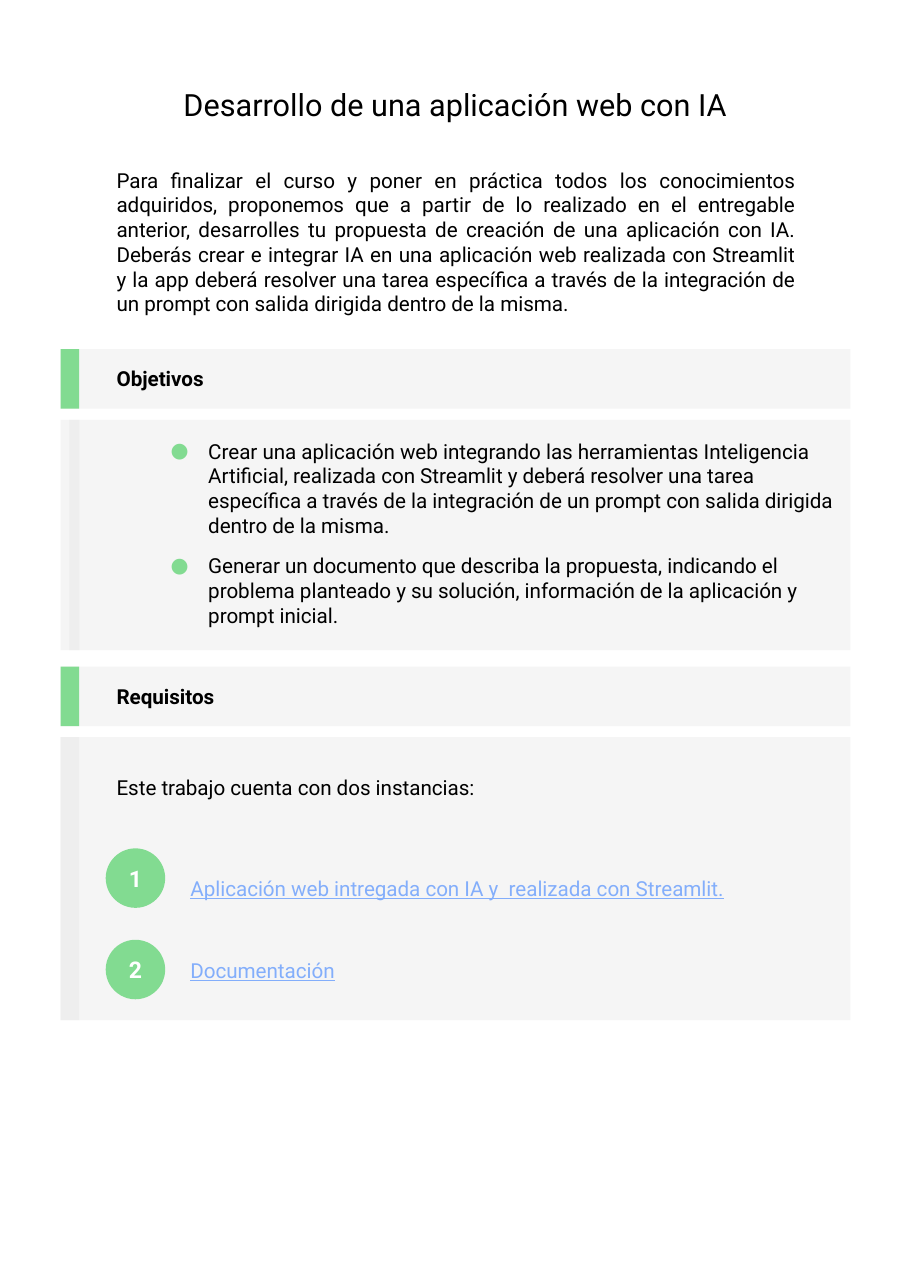
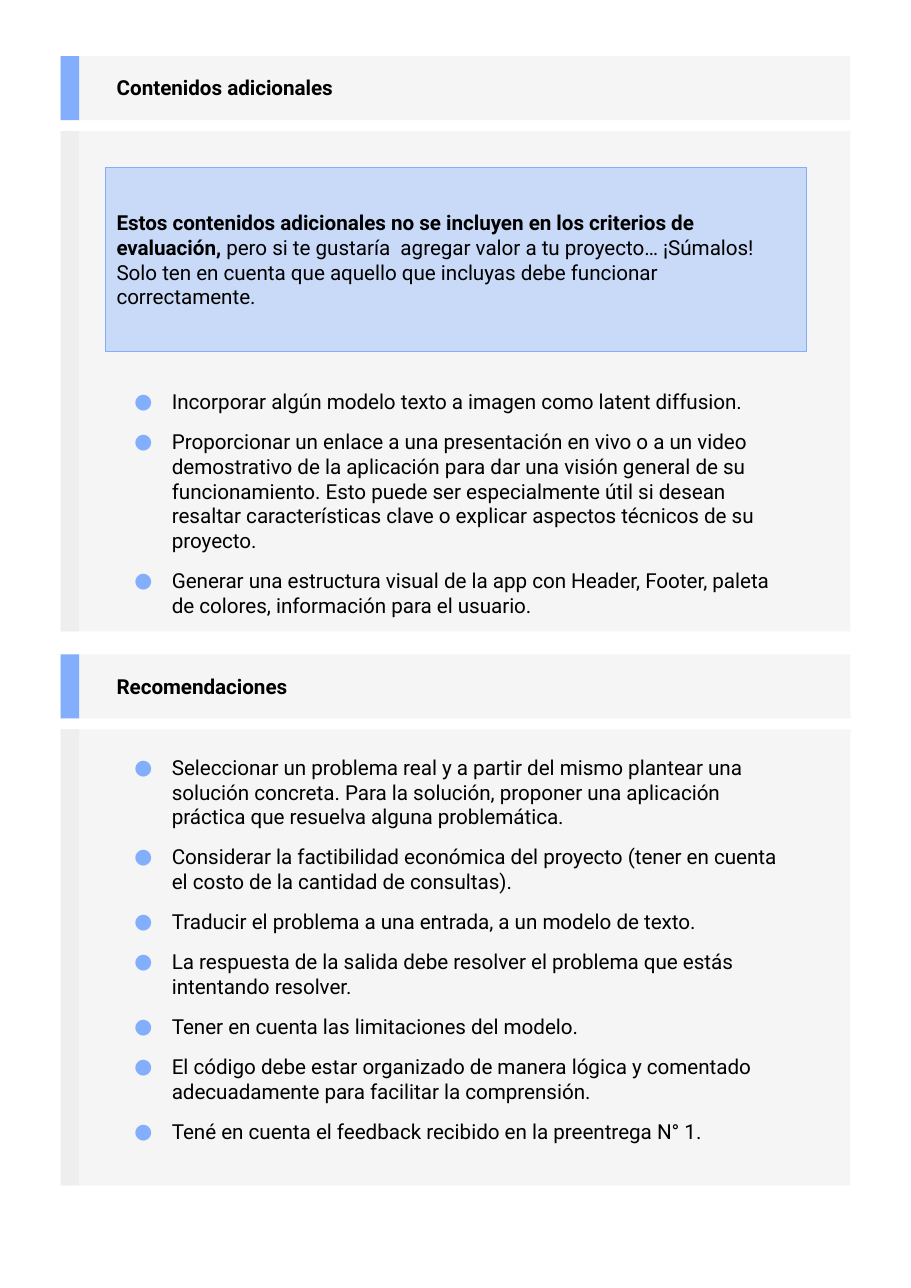
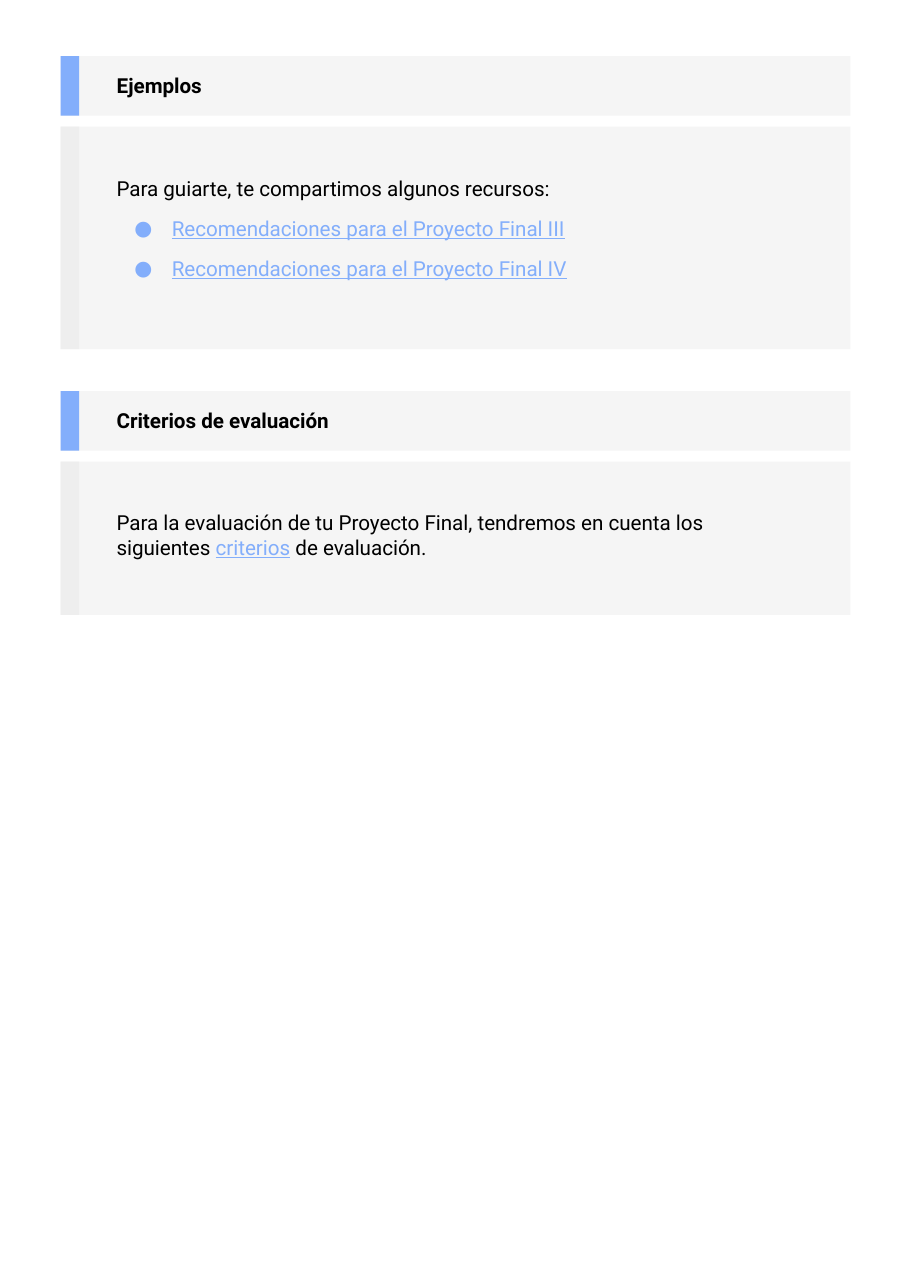
from dataclasses import dataclass

from lxml import etree
from pptx import Presentation
from pptx.dml.color import RGBColor
from pptx.enum.shapes import MSO_SHAPE
from pptx.enum.text import MSO_ANCHOR, MSO_AUTO_SIZE, PP_ALIGN
from pptx.oxml.ns import qn
from pptx.util import Emu, Pt

RECT, OVAL = MSO_SHAPE.RECTANGLE, MSO_SHAPE.OVAL
TOP, MIDDLE = MSO_ANCHOR.TOP, MSO_ANCHOR.MIDDLE
LEFT, CENTER, JUSTIFY = PP_ALIGN.LEFT, PP_ALIGN.CENTER, PP_ALIGN.JUSTIFY
FIXED = MSO_AUTO_SIZE.NONE
ONE_LIST, TWO_LISTS = 1, 3


@dataclass(frozen=True)
class Theme:
    """Colours, type sizes and the page grid shared by all slides."""
    font: str = "Roboto"
    ink: str = "000000"
    white: str = "FFFFFF"
    green: str = "82DB91"
    blue: str = "83AEFB"
    panel: str = "F5F5F5"
    tab: str = "EEEEEE"
    note: str = "C9DAF8"
    title: float = 20
    badge: float = 15
    body: float = 13.5
    gap: float = 10
    page_w: int = 827
    page_h: int = 1169
    left: int = 55
    width: int = 717
    tab_w: int = 17
    text_x: int = 96
    text_w: int = 636


T = Theme()
TITLE = {"size": T.title}
BODY = {}
BOLD = {"bold": True}
LINK = {"color": T.blue, "underline": True}
BADGE = {"size": T.badge, "color": T.white, "bold": True}


def px(n):
    """Turn px, 100 to the inch, into EMU."""
    return Emu(n * 9144)


def rgb(color):
    """Turn a hex string into a colour."""
    return RGBColor.from_string(color)


def box(s, kind, x, y, w, h, fill, line=None):
    """Add a flat preset shape."""
    sp = s.shapes.add_shape(kind, px(x), px(y), px(w), px(h))
    sp.shadow.inherit = False
    sp.fill.solid()
    sp.fill.fore_color.rgb = rgb(fill)
    if line:
        sp.line.color.rgb = rgb(line)
        sp.line.width = Pt(0.75)
    else:
        sp.line.fill.background()
    return sp


def text_box(s, x, y, w, h):
    """Add an empty text box."""
    return s.shapes.add_textbox(px(x), px(y), px(w), px(h))


def place(sp, x, y, w, h):
    """Move a placeholder to a box, in front of what is drawn."""
    sp.left, sp.top, sp.width, sp.height = px(x), px(y), px(w), px(h)
    sp.element.getparent().append(sp.element)
    return sp


def style(r, size=T.body, color=T.ink, bold=False, underline=False):
    """Format one run."""
    f = r.font
    f.name, f.size, f.bold, f.underline = T.font, Pt(size), bold, underline
    f.color.rgb = rgb(color)


def set_bullet(p, color):
    """Give a paragraph a coloured bullet, or none."""
    pPr = p._p.get_or_add_pPr()
    pPr.set("marL", str(px(50) if color else 0))
    pPr.set("indent", str(px(-34) if color else 0))
    if not color:
        etree.SubElement(pPr, qn("a:buNone"))
        return
    clr = etree.SubElement(pPr, qn("a:buClr"))
    etree.SubElement(clr, qn("a:srgbClr"), val=color)
    etree.SubElement(pPr, qn("a:buFont"), typeface=T.font)
    etree.SubElement(pPr, qn("a:buChar"), char="●")


def write(sp, paras, align=LEFT, anchor=TOP, bullet=None):
    """Fill a shape with paragraphs, each a list of (text, style) runs."""
    tf = sp.text_frame
    tf.word_wrap, tf.auto_size, tf.vertical_anchor = True, FIXED, anchor
    tf.margin_left = tf.margin_right = tf.margin_top = tf.margin_bottom = px(10)
    for i, runs in enumerate(paras):
        p = tf.add_paragraph() if i else tf.paragraphs[0]
        p.alignment, p.line_spacing = align, 1.0
        p.space_before = Pt(T.gap if i else 0)
        p.space_after = Pt(0)
        set_bullet(p, bullet)
        for text, look in runs:
            r = p.add_run()
            r.text = text
            style(r, **look)


def panel(s, y, h, color, inset=0):
    """Draw a grey panel with a coloured tab on its left."""
    box(s, RECT, T.left, y, T.width, h, T.panel)
    box(s, RECT, T.left + inset, y, T.tab_w - inset, h, color)


def section(s, y, head_h, bottom, heading, accent, inset=0, title=None):
    """Draw a heading bar and the panel under it, down to bottom."""
    panel(s, y, head_h, accent)
    body_y = y + head_h + 10
    panel(s, body_y, bottom - body_y, T.tab, inset)
    at = T.text_x, y + 2, 652, head_h - 5
    sp = place(title, *at) if title else text_box(s, *at)
    write(sp, [[(heading, BOLD)]], anchor=MIDDLE)


def bullets(sp, at, items, color):
    """Place a body placeholder as a bulleted list."""
    write(place(sp, *at), [[(item, BODY)] for item in items], bullet=color)


def step(s, number, badge_y, text_y, text):
    """Draw a numbered badge with its link text."""
    badge = box(s, OVAL, T.text_x, badge_y, 54, 54, T.green)
    write(badge, [[(number, BADGE)]], CENTER, MIDDLE)
    write(text_box(s, 163, text_y, 569, 66), [[(text, LINK)]], anchor=MIDDLE)


def assignment(s):
    """Build the slide with the task, its goals and requirements."""
    title, goals = s.placeholders
    section(s, 317, 54, 590, "Objetivos", T.green, inset=8)
    section(s, 605, 54, 926, "Requisitos", T.green)
    write(place(title, T.left, 68, T.width, 54),
          [[("Desarrollo de una aplicación web con IA", TITLE)]], CENTER)
    write(text_box(s, T.text_x, 142, T.text_w, 157), [[(
        "Para finalizar el curso y poner en práctica todos los conocimientos "
        "adquiridos, proponemos que a partir de lo realizado en el entregable "
        "anterior, desarrolles tu propuesta de creación de una aplicación con "
        "IA. Deberás crear e integrar IA en una aplicación web realizada con "
        "Streamlit y la app deberá resolver una tarea específica a través de "
        "la integración de un prompt con salida dirigida dentro de la misma.",
        BODY)]], JUSTIFY)
    bullets(goals, (129, 388, 652, 193), [
        "Crear una aplicación web integrando las herramientas Inteligencia "
        "Artificial, realizada con Streamlit y deberá resolver una tarea "
        "específica a través de la integración de un prompt con salida "
        "dirigida dentro de la misma.",
        "Generar un documento que describa la propuesta, indicando el "
        "problema planteado y su solución, información de la aplicación y "
        "prompt inicial.",
    ], T.green)
    write(text_box(s, T.text_x, 693, T.text_w, 43),
          [[("Este trabajo cuenta con dos instancias:", BODY)]])
    step(s, "1", 770, 773,
         "Aplicación web intregada con IA y  realizada con Streamlit.")
    step(s, "2", 853, 848, "Documentación")


def extras(s):
    """Build the slide with optional contents and advice."""
    title, contents, advice = s.placeholders
    section(s, 51, 58, 573, "Contenidos adicionales", T.blue, title=title)
    section(s, 594, 58, 1076, "Recomendaciones", T.blue)
    note = box(s, RECT, T.text_x, 152, T.text_w, 167, T.note, T.blue)
    write(note, [[
        ("Estos contenidos adicionales no se incluyen en los criterios de "
         "evaluación, ", BOLD),
        ("pero si te gustaría  agregar valor a tu proyecto… ¡Súmalos! Solo "
         "ten en cuenta que aquello que incluyas debe funcionar "
         "correctamente.", BODY),
    ]], anchor=MIDDLE)
    bullets(contents, (T.text_x, 343, T.text_w, 230), [
        "Incorporar algún modelo texto a imagen como latent diffusion.",
        "Proporcionar un enlace a una presentación en vivo o a un video "
        "demostrativo de la aplicación para dar una visión general de su "
        "funcionamiento. Esto puede ser especialmente útil si desean "
        "resaltar características clave o explicar aspectos técnicos de su "
        "proyecto.",
        "Generar una estructura visual de la app con Header, Footer, paleta "
        "de colores, información para el usuario.",
    ], T.blue)
    bullets(advice, (T.text_x, 675, T.text_w, 377), [
        "Seleccionar un problema real y a partir del mismo plantear una "
        "solución concreta. Para la solución, proponer una aplicación "
        "práctica que resuelva alguna problemática.",
        "Considerar la factibilidad económica del proyecto (tener en cuenta "
        "el costo de la cantidad de consultas).",
        "Traducir el problema a una entrada, a un modelo de texto.",
        "La respuesta de la salida debe resolver el problema que estás "
        "intentando resolver.",
        "Tener en cuenta las limitaciones del modelo.",
        "El código debe estar organizado de manera lógica y comentado "
        "adecuadamente para facilitar la comprensión.",
        "Tené en cuenta el feedback recibido en la preentrega N° 1.",
    ], T.blue)


def resources(s):
    """Build the slide with examples and grading criteria."""
    title, examples = s.placeholders
    section(s, 51, 54, 317, "Ejemplos", T.blue, title=title)
    section(s, 355, 54, 558, "Criterios de evaluación", T.blue)
    write(text_box(s, T.text_x, 150, T.text_w, 43),
          [[("Para guiarte, te compartimos algunos recursos:", BODY)]])
    write(place(examples, T.text_x, 186, T.text_w, 80), [
        [(f"Recomendaciones para el Proyecto Final {part}", LINK)]
        for part in ("III", "IV")
    ], bullet=T.blue)
    write(text_box(s, T.text_x, 453, T.text_w, 66), [[
        ("Para la evaluación de tu Proyecto Final, tendremos en cuenta los "
         "siguientes ", BODY),
        ("criterios", LINK),
        (" de evaluación.", BODY),
    ]])


def main():
    """Build the three slides and save them."""
    prs = Presentation()
    prs.slide_width, prs.slide_height = px(T.page_w), px(T.page_h)
    for build, layout in ((assignment, ONE_LIST), (extras, TWO_LISTS),
                          (resources, ONE_LIST)):
        build(prs.slides.add_slide(prs.slide_layouts[layout]))
    prs.save("out.pptx")


if __name__ == "__main__":
    main()
